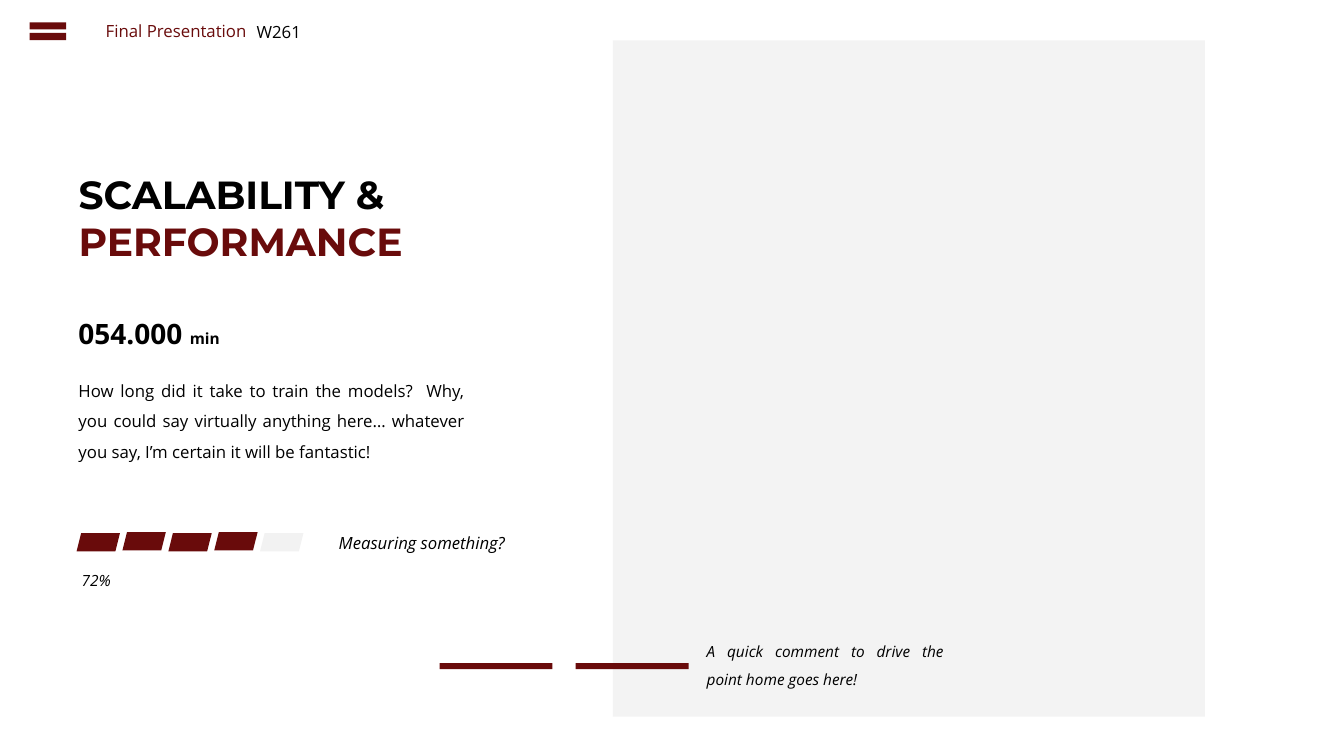
from lxml.etree import SubElement
from pptx import Presentation
from pptx.dml.color import RGBColor
from pptx.enum.shapes import MSO_SHAPE
from pptx.enum.text import MSO_ANCHOR, MSO_AUTO_SIZE, PP_ALIGN
from pptx.oxml.ns import qn
from pptx.util import Inches, Pt

MAROON = "690B0B"
BLACK = "000000"
GRAY = "F2F2F2"
BODY_FONT = "Open Sans"
TITLE_FONT = "Montserrat"


def color(hex_string):
    return RGBColor.from_string(hex_string)


def add_block(slide, kind, left, top, width, height, fill):
    shape = slide.shapes.add_shape(
        kind, Inches(left), Inches(top), Inches(width), Inches(height))
    shape.shadow.inherit = False
    shape.fill.solid()
    shape.fill.fore_color.rgb = color(fill)
    shape.line.fill.background()
    return shape


def add_text(slide, left, top, width, height, text, size=12, fill=BLACK,
             align=PP_ALIGN.LEFT, spacing=1.0, italic=False, bold=False,
             wrap=True, inset=True):
    box = slide.shapes.add_textbox(
        Inches(left), Inches(top), Inches(width), Inches(height))
    frame = box.text_frame
    frame.word_wrap = wrap
    if not inset:
        frame.margin_left = frame.margin_right = 0
        frame.margin_top = frame.margin_bottom = 0
    paragraph = frame.paragraphs[0]
    paragraph.text = text
    paragraph.alignment = align
    paragraph.line_spacing = spacing
    font = paragraph.font
    font.name, font.size = BODY_FONT, Pt(size)
    font.italic, font.bold = italic, bold
    font.color.rgb = color(fill)
    return paragraph


def add_panel(slide, left, top, width, height):
    panel = add_block(slide, MSO_SHAPE.RECTANGLE, left, top, width, height, GRAY)
    fill_color = panel.fill._xPr.find(qn("a:solidFill"))[0]
    SubElement(fill_color, qn("a:alpha"), val="90000")


def add_header(slide, left, top):
    add_block(slide, MSO_SHAPE.MATH_EQUAL, left, top, 0.49, 0.3, MAROON)
    add_text(slide, left + 0.72, top, 1.62, 0.3, "Final Presentation",
             fill=MAROON, wrap=False)
    add_text(slide, left + 2.21, top + 0.01, 0.65, 0.3, "W261",
             align=PP_ALIGN.CENTER, wrap=False)


def set_title(slide, left, top, width, height):
    title = slide.shapes.title
    title.left, title.top = Inches(left), Inches(top)
    title.width, title.height = Inches(width), Inches(height)
    frame = title.text_frame
    frame.auto_size = MSO_AUTO_SIZE.NONE
    frame.vertical_anchor = MSO_ANCHOR.TOP
    paragraph = frame.paragraphs[0]
    paragraph.alignment = PP_ALIGN.LEFT
    paragraph.line_spacing = 1.0
    paragraph.font.name = TITLE_FONT
    paragraph.font.size = Pt(28)
    paragraph.font.bold = True
    for text, fill in (("SCALABILITY &", BLACK), ("PERFORMANCE", MAROON)):
        if paragraph.runs:
            paragraph.add_line_break()
        run = paragraph.add_run()
        run.text = text
        run.font.color.rgb = color(fill)


def add_training_time(slide, left, top):
    figure = add_text(slide, left, top, 2.33, 0.48, "054.000 ", size=20,
                      spacing=1.2, bold=True)
    unit = figure.add_run()
    unit.text = "min"
    unit.font.size = Pt(11)
    add_text(slide, left, top + 0.61, 4.03, 0.98,
             "How long did it take to train the models?  Why, you could say "
             "virtually anything here… whatever you say, I’m certain it will "
             "be fantastic!", align=PP_ALIGN.JUSTIFY, spacing=1.5)


def add_progress(slide, left, top, steps=5, filled=4):
    for index in range(steps):
        rise = 0.01 * (index % 2)
        add_block(slide, MSO_SHAPE.PARALLELOGRAM, left + 0.455 * index,
                  top - rise, 0.43, 0.18, MAROON if index < filled else GRAY)
    add_text(slide, left + 2.6, top, 1.73, 0.2, "Measuring something?",
             italic=True, inset=False)
    add_text(slide, left - 0.08, top + 0.38, 0.42, 0.19, "72%", size=11,
             align=PP_ALIGN.RIGHT, italic=True, inset=False)


def add_comment(slide, left, top):
    # Two dashes lead into the comment
    for index in range(2):
        add_block(slide, MSO_SHAPE.RECTANGLE, left + 1.35 * index, top + 0.35,
                  1.12, 0.06, MAROON)
    add_text(slide, left + 2.55, top, 2.55, 0.63,
             "A quick comment to drive the point home goes here!", size=11,
             align=PP_ALIGN.JUSTIFY, spacing=1.5, italic=True)


def main():
    presentation = Presentation()
    presentation.slide_width = Inches(13.33)
    presentation.slide_height = Inches(7.5)
    slide = presentation.slides.add_slide(presentation.slide_layouts[5])

    add_panel(slide, 6.08, 0.4, 5.87, 6.71)
    add_header(slide, 0.23, 0.16)
    set_title(slide, 0.68, 1.64, 3.73, 1.04)
    add_training_time(slide, 0.68, 3.02)
    add_progress(slide, 0.76, 5.29)
    add_comment(slide, 4.36, 6.23)

    presentation.save("out.pptx")


if __name__ == "__main__":
    main()
